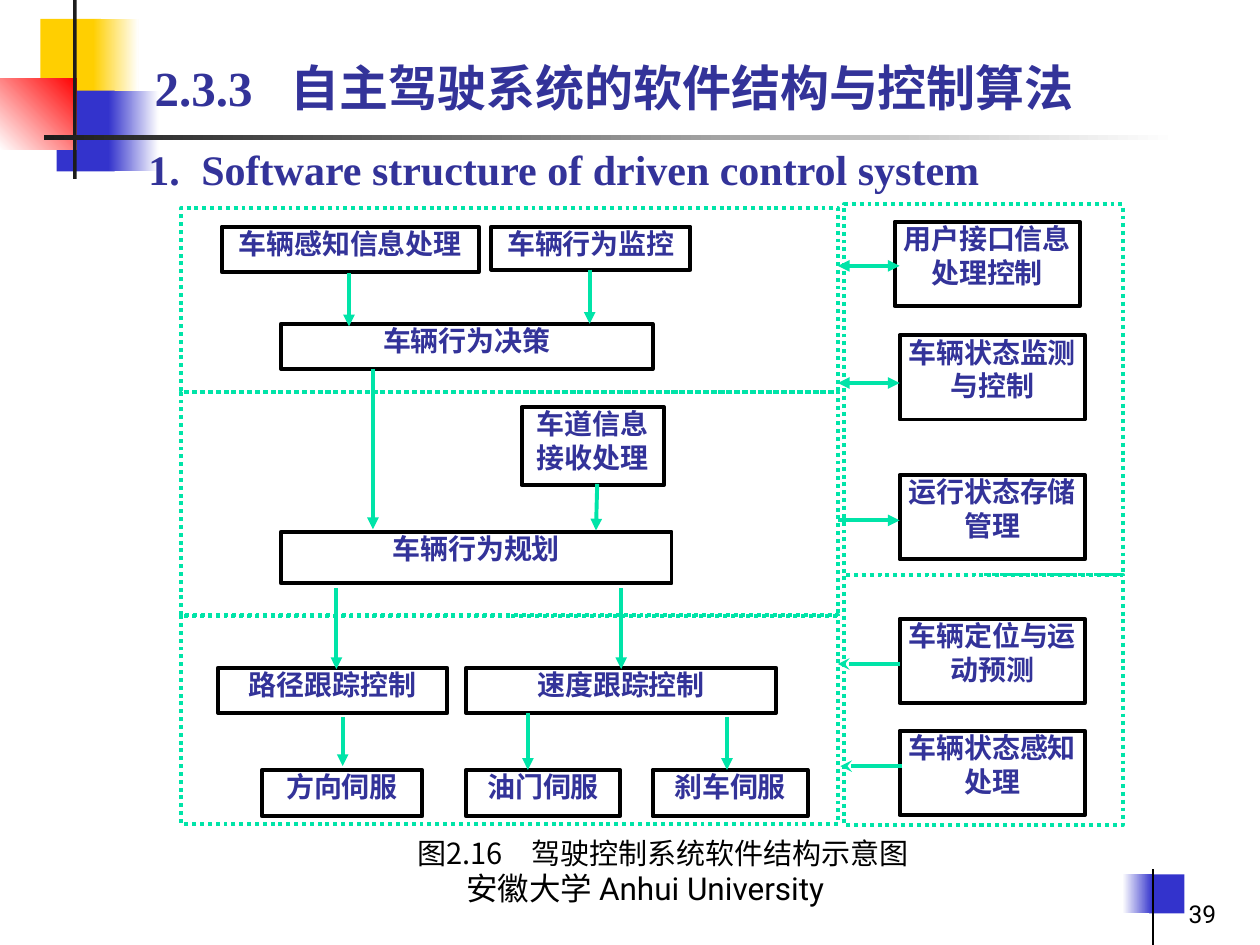
from lxml.etree import SubElement as Sub
from pptx import Presentation
from pptx.dml.color import RGBColor
from pptx.enum.dml import MSO_LINE as Dash
from pptx.enum.shapes import MSO_CONNECTOR as Conn, MSO_SHAPE as Form
from pptx.enum.text import MSO_ANCHOR as Anchor, PP_ALIGN as Align
from pptx.oxml.ns import qn
from pptx.util import Pt

PX = 9144
hue = RGBColor.from_string
NAVY, MINT, BLACK, WHITE = "333399", "00E4A8", "000000", "FFFFFF"
BLUE, GOLD, DARK = "3333CC", "FFCF01", "1C1C1C"

deck = Presentation()
deck.slide_width, deck.slide_height = 1000 * PX, 750 * PX
slide = deck.slides.add_slide(deck.slide_layouts[6])
shapes = slide.shapes


def block(area, fill=None, line=None, dash=None):
    box = shapes.add_shape(Form.RECTANGLE, *[n * PX for n in area])
    box.shadow.inherit = False
    if fill is None:
        box.fill.background()
    elif isinstance(fill, str):
        box.fill.solid()
        box.fill.fore_color.rgb = hue(fill)
    else:
        start, end, angle = fill
        box.fill.gradient()
        box.fill.gradient_angle = angle
        for stop, tone in zip(box.fill.gradient_stops, (start, end)):
            stop.color.rgb = hue(tone)
    if line:
        box.line.color.rgb = hue(line)
        box.line.width = Pt(2.25)
        box.line.dash_style = dash
    else:
        box.line.fill.background()
    return box


def write(box, text, size, font, color, align, anchor, pad, tab=None, space=None):
    frame = box.text_frame
    side, top = pad
    looks = {
        "word_wrap": True, "vertical_anchor": anchor,
        "margin_left": side * PX, "margin_right": side * PX,
        "margin_top": top * PX, "margin_bottom": top * PX,
    }
    for key, value in looks.items():
        setattr(frame, key, value)
    frame.text = text
    for para in frame.paragraphs:
        para.alignment = align
        para.line_spacing = space
        if tab:
            stops = Sub(para._p.get_or_add_pPr(), qn("a:tabLst"))
            Sub(stops, qn("a:tab"), pos=str(tab * PX), algn="l")
        style = {"size": Pt(size), "name": font, "bold": color == NAVY}
        for run in para.runs:
            run.font.color.rgb = hue(color)
            for key, value in style.items():
                setattr(run.font, key, value)


for area, fill in [
    ((32, 15, 48, 64), GOLD),
    ((74, 15, 36, 64), (GOLD, WHITE, 0)),
    ((45, 72, 46, 64), BLUE),
    ((86, 72, 40, 64), (BLUE, WHITE, 0)),
    ((0, 62, 61, 57), (WHITE, "FF0000", 45)),
    ((58, 0, 3, 142), DARK),
    ((35, 107, 900, 4), (DARK, WHITE, 0)),
    ((912, 694, 28, 31), BLUE),
    ((891, 694, 24, 31), (WHITE, BLUE, 0)),
]:
    block(area, fill)

for area, text in [
    ((714, 580, 147, 67), "车辆状态感知处理"),
    ((714, 491, 147, 67), "车辆定位与运动预测"),
    ((714, 377, 147, 67), "运行状态存储管理"),
    ((714, 266, 147, 67), "车辆状态监测与控制"),
    ((710, 176, 147, 67), "用户接口信息处理控制"),
    ((176, 180, 204, 36), "车辆感知信息处理"),
    ((390, 180, 158, 34), "车辆行为监控"),
    ((223, 257, 295, 36), "车辆行为决策"),
    ((414, 323, 113, 62), "车道信息\n接收处理"),
    ((223, 422, 310, 41), "车辆行为规划"),
    ((173, 530, 182, 36), "路径跟踪控制"),
    ((370, 530, 246, 36), "速度跟踪控制"),
    ((208, 611, 127, 37), "方向伺服"),
    ((370, 611, 122, 37), "油门伺服"),
    ((518, 611, 123, 37), "刹车伺服"),
]:
    write(block(area, WHITE, BLACK), text, 16, "Times New Roman", NAVY,
          Align.CENTER, Anchor.TOP, (4, 0))

for area in [
    (144, 165, 521, 146), (144, 311, 521, 178), (144, 488, 521, 166),
    (670, 456, 221, 199), (670, 162, 221, 294),
]:
    block(area, None, MINT, Dash.ROUND_DOT)

TIP = {"tailEnd": "triangle"}
BOTH = {"headEnd": "triangle", "tailEnd": "triangle"}
BACK = {"headEnd": "stealth"}
for ends, tips, color, width in [
    ((915, 690, 915, 750), {}, BLACK, 0.75),
    ((474, 384, 473, 421), TIP, MINT, 2.25),
    ((277, 217, 277, 259), TIP, MINT, 2.25),
    ((468, 214, 468, 257), TIP, MINT, 2.25),
    ((267, 467, 267, 531), TIP, MINT, 2.25),
    ((493, 467, 493, 531), TIP, MINT, 2.25),
    ((296, 293, 296, 420), TIP, MINT, 2.25),
    ((272, 569, 272, 608), TIP, MINT, 2.25),
    ((419, 566, 419, 611), TIP, MINT, 2.25),
    ((577, 569, 577, 611), TIP, MINT, 2.25),
    ((665, 211, 714, 211), BOTH, MINT, 2.25),
    ((665, 304, 714, 304), BOTH, MINT, 2.25),
    ((665, 413, 714, 413), TIP, MINT, 2.25),
    ((665, 527, 714, 527), BACK, MINT, 2.25),
    ((667, 608, 716, 608), BACK, MINT, 2.25),
]:
    wire = shapes.add_connector(Conn.STRAIGHT, *[n * PX for n in ends])
    wire.line.color.rgb = hue(color)
    wire.line.width = Pt(width)
    Sub(wire._element.spPr, qn("a:effectLst"))
    for end, kind in tips.items():
        Sub(wire.line._get_or_add_ln(), qn("a:" + end), type=kind)

for area, *look in [
    ((113, 21, 780, 76), "2.3.3\t自主驾驶系统的软件结构与控制算法", 28,
     "Times New Roman", NAVY, Align.LEFT, Anchor.BOTTOM, (10, 5), 108),
    ((108, 109, 821, 50), "1.\tSoftware structure of driven control system", 24,
     "Times New Roman", NAVY, Align.LEFT, Anchor.TOP, (10, 5), 42),
    ((308, 666, 436, 40), "图2.16　驾驶控制系统软件结构示意图", 16.6,
     "Noto Sans CJK SC", BLACK, Align.CENTER, Anchor.TOP, (0, 0), None, 0.9),
    ((193, 675, 638, 50), "安徽大学 Anhui University", 18,
     "Roboto", BLACK, Align.CENTER, Anchor.BOTTOM, (10, 5)),
    ((767, 690, 208, 52), "39", 14,
     "Roboto", BLACK, Align.RIGHT, Anchor.BOTTOM, (10, 5)),
]:
    write(shapes.add_textbox(*[n * PX for n in area]), *look)

deck.save("out.pptx")
